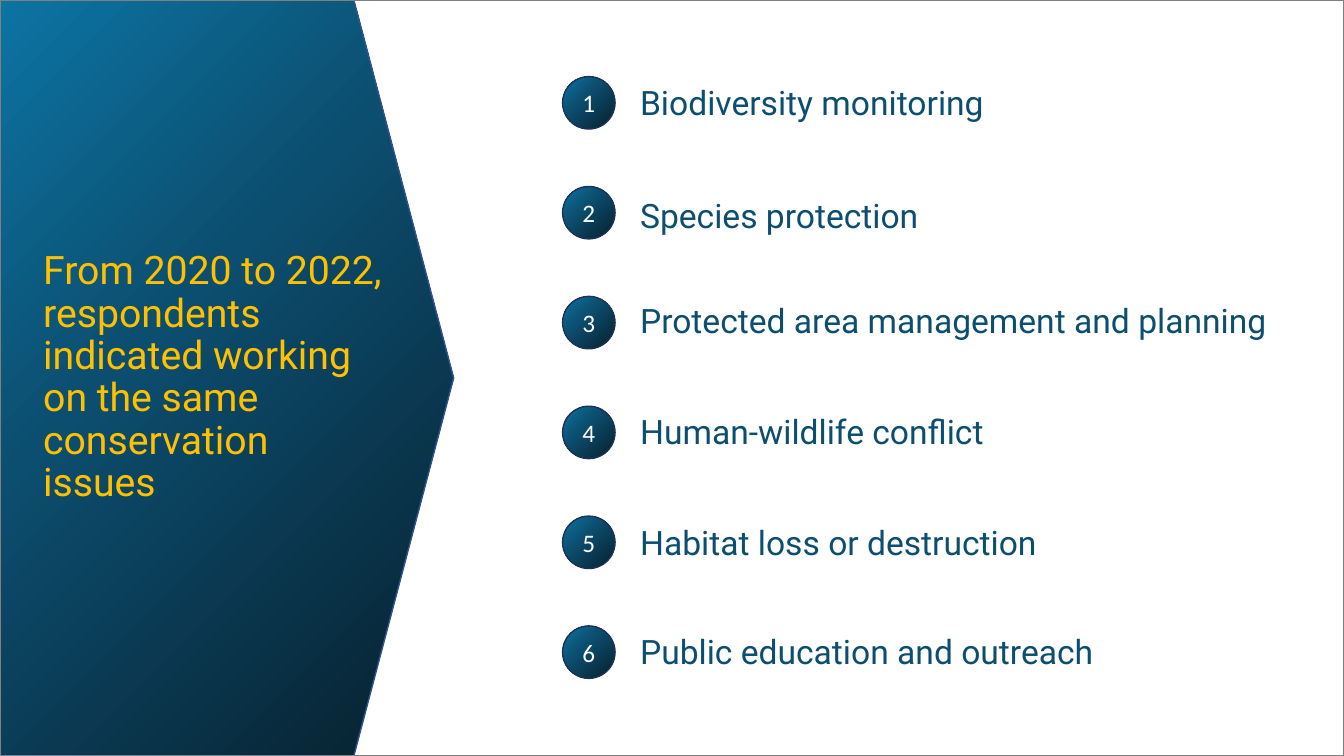
from pptx import Presentation
from pptx import util as u
from pptx.dml.color import RGBColor
from pptx.enum import shapes, text
from pptx.oxml import parse_xml
from pptx.oxml.ns import nsdecls

SKY = RGBColor(0x0C, 0x74, 0xA3)
TEAL = RGBColor(0x0C, 0x4E, 0x6F)
NIGHT = RGBColor(0x07, 0x1F, 0x2C)
GOLD = RGBColor(0xFF, 0xC0, 0x00)
WHITE = RGBColor(0xFF, 0xFF, 0xFF)
GREY = RGBColor(0x80, 0x80, 0x80)
PANEL_EDGE = RGBColor(0x32, 0x54, 0x91)
BADGE_EDGE = RGBColor(0x1E, 0x32, 0x56)
GRADIENT = ((0, SKY), (40, TEAL), (100, NIGHT))

HEADING = "From 2020 to 2022, respondents indicated working on the same conservation issues"
ISSUES = (
    ("Biodiversity monitoring", 0.76),
    ("Species protection", 1.88),
    ("Protected area management and planning", 2.93),
    ("Human-wildlife conflict", 4.03),
    ("Habitat loss or destruction", 5.13),
    ("Public education and outreach", 6.21),
)
BADGE_TOP, BADGE_PITCH, BADGE_SIZE = 0.76, 1.09, 0.52


def write(shape, words, size, color, font="Roboto", align=None, spacing=None,
          anchor=text.MSO_ANCHOR.TOP):
    frame = shape.text_frame
    frame.word_wrap = True
    frame.vertical_anchor = anchor
    para = frame.paragraphs[0]
    para.alignment = align
    para.line_spacing = spacing
    span = para.add_run()
    span.text = words
    span.font.name = font
    span.font.size = u.Pt(size)
    span.font.color.rgb = color


class IssueSlide:
    """Holds the gradient style and the page, and draws each kind of element."""

    def __init__(self, page):
        self.page = page
        self.stops = "".join(
            f'<a:gs pos="{place * 1000}"><a:srgbClr val="{color}"/></a:gs>'
            for place, color in GRADIENT)

    def outline(self, kind, left, top, width, height, color, weight):
        shape = self.page.shapes.add_shape(
            kind, u.Inches(left), u.Inches(top), u.Inches(width), u.Inches(height))
        shape.shadow.inherit = False
        shape.fill.background()
        shape.line.color.rgb = color
        shape.line.width = u.Pt(weight)
        return shape

    def gradient(self, *geometry):
        shape = self.outline(*geometry, weight=1)
        shape.fill.gradient()
        properties = shape.element.spPr
        properties.replace(properties.find("{*}gradFill"), parse_xml(
            f'<a:gradFill {nsdecls("a")} rotWithShape="1"><a:gsLst>{self.stops}</a:gsLst>'
            '<a:path path="circle"><a:fillToRect r="100000" b="100000"/></a:path>'
            '<a:tileRect l="-100000" t="-100000"/></a:gradFill>'))
        return shape

    def panel(self):
        shape = self.gradient(shapes.MSO_SHAPE.PENTAGON, 0, 0, 4.5, 7.5, PANEL_EDGE)
        shape.adjustments[0] = 0.22

    def badge(self, number, top):
        shape = self.gradient(
            shapes.MSO_SHAPE.OVAL, 5.58, top, BADGE_SIZE, BADGE_SIZE, BADGE_EDGE)
        write(shape, str(number), 18, WHITE, font="Calibri",
              align=text.PP_ALIGN.CENTER, anchor=text.MSO_ANCHOR.MIDDLE)

    def label(self, words, left, top, width, height, size, color, **style):
        box = self.page.shapes.add_textbox(
            u.Inches(left), u.Inches(top), u.Inches(width), u.Inches(height))
        write(box, words, size, color, **style)
        return box


def main():
    deck = Presentation()
    deck.slide_width, deck.slide_height = u.Inches(13.33), u.Inches(7.5)
    slide = IssueSlide(deck.slides.add_slide(deck.slide_layouts[6]))
    slide.panel()
    slide.label(HEADING, 0.33, 3.3, 3.62, 0.9, 28, GOLD, spacing=0.9,
                anchor=text.MSO_ANCHOR.MIDDLE)
    for index, (issue, top) in enumerate(ISSUES):
        slide.badge(index + 1, BADGE_TOP + index * BADGE_PITCH)
        box = slide.label(issue, 6.25, top, 6.52, 0.5, 24, TEAL)
        box.text_frame.auto_size = text.MSO_AUTO_SIZE.SHAPE_TO_FIT_TEXT
    slide.outline(shapes.MSO_SHAPE.RECTANGLE, 0, 0, 13.33, 7.5, GREY, 1.5)
    deck.save("out.pptx")


if __name__ == "__main__":
    main()
